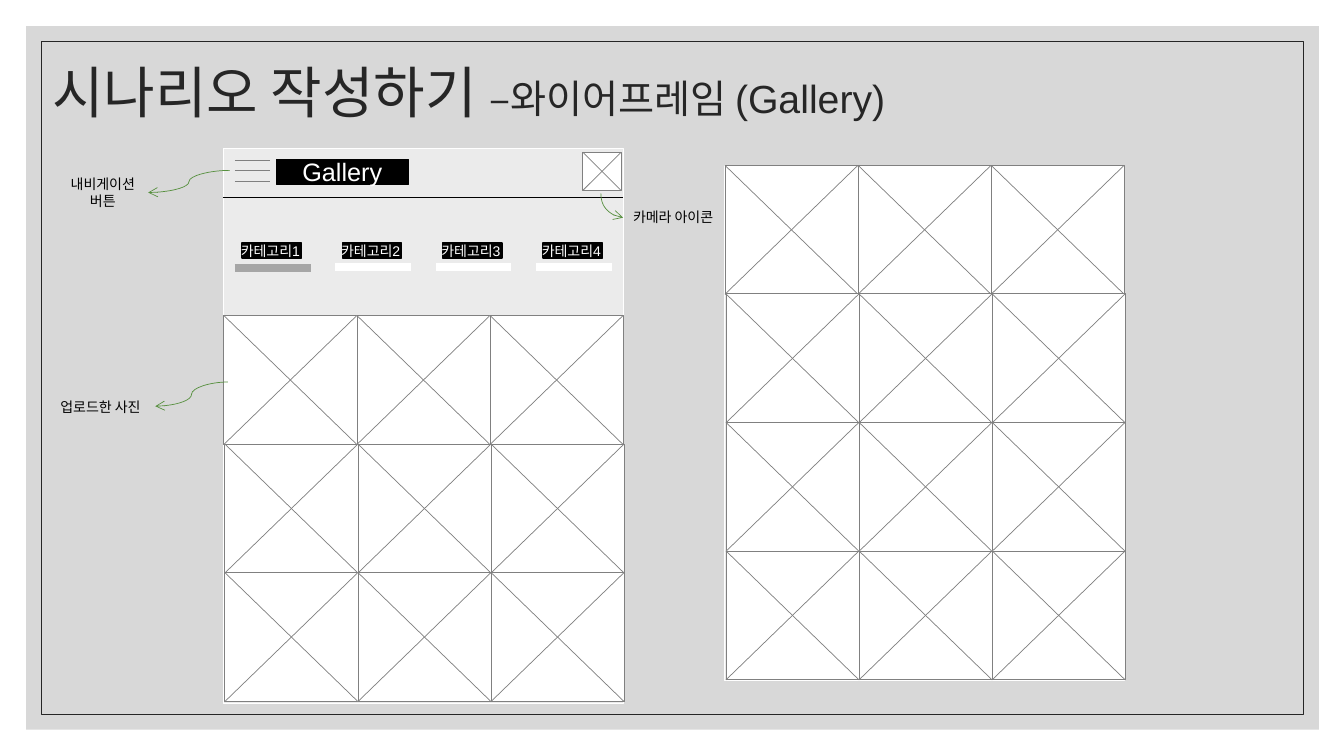
"""Builds the gallery wireframe slide on a grid of tenth-of-an-inch cells."""
import pptx
import pptx.dml.color
import pptx.enum.shapes
import pptx.enum.text
import pptx.oxml
import pptx.oxml.ns
import pptx.util

THEME = {
    "backdrop": "BFBFBF", "ink": "262626", "black": "000000", "white": "FFFFFF",
    "wire": "808080", "active": "A6A6A6", "arrow": "57903F",
    "title": 40, "subtitle": 28, "banner": 18, "label": 10,
    "latin": "Arial", "note": "Quicksand",
    "thin": 0.5, "panel_edge": 0.75, "chip_edge": 1, "bar": 6,
}
CELL = pptx.util.Inches(0.1)
PHOTO_W, PHOTO_H, PHOTO_PITCH = 13.2, 12.8, 12.75
TAB_PITCH = 9.95
STRAIGHT = pptx.enum.shapes.MSO_CONNECTOR.STRAIGHT
CURVE = pptx.enum.shapes.MSO_CONNECTOR.CURVE
CENTER = pptx.enum.text.PP_ALIGN.CENTER
LEFT = pptx.enum.text.PP_ALIGN.LEFT
MIDDLE = pptx.enum.text.MSO_ANCHOR.MIDDLE
rgb = pptx.dml.color.RGBColor.from_string


def add_box(shapes, place, fill=None, edge=None, weight=THEME["thin"], opacity=100):
    box = shapes.add_shape(pptx.enum.shapes.MSO_SHAPE.RECTANGLE,
                           *[int(cells * CELL) for cells in place])
    box.shadow.inherit = False
    if fill:
        box.fill.solid()
        box.fill.fore_color.rgb = rgb(THEME[fill])
        if opacity < 100:
            tint = box._element.spPr.find(".//" + pptx.oxml.ns.qn("a:srgbClr"))
            pptx.oxml.ns.qn("a:alpha")
            tint.append(pptx.oxml.parse_xml(
                f'<a:alpha {pptx.oxml.ns.nsdecls("a")} val="{opacity * 1000}"/>'))
    else:
        box.fill.background()
    if edge:
        box.line.color.rgb = rgb(THEME[edge])
        box.line.width = pptx.util.Pt(weight)
    else:
        box.line.fill.background()
    return box


def add_stroke(shapes, ends, color, weight=THEME["thin"], kind=STRAIGHT, arrow_at=None):
    stroke = shapes.add_connector(kind, *[int(cells * CELL) for cells in ends])
    stroke.line.color.rgb = rgb(THEME[color])
    stroke.line.width = pptx.util.Pt(weight)
    properties = stroke._element.spPr
    if arrow_at:
        properties.find(pptx.oxml.ns.qn("a:ln")).append(pptx.oxml.parse_xml(
            f'<a:{arrow_at} {pptx.oxml.ns.nsdecls("a")} type="arrow"/>'))
    properties.append(pptx.oxml.parse_xml(f'<a:effectLst {pptx.oxml.ns.nsdecls("a")}/>'))
    return stroke


deck = pptx.Presentation()
deck.slide_width = pptx.util.Inches(13.33)
deck.slide_height = pptx.util.Inches(7.5)
slide = deck.slides.add_slide(deck.slide_layouts[6])
shapes = slide.shapes

add_box(shapes, (2.6, 2.6, 128.2, 69.8), "backdrop", opacity=60)
add_box(shapes, (4.1, 4.1, 125.2, 66.8), edge="ink")
add_box(shapes, (22.2, 14.7, 39.6, 55.1), "white", "white", THEME["panel_edge"], 50)
add_box(shapes, (71.9, 16.4, 39.6, 51.1), "white", "white", THEME["panel_edge"], 50)

heading = shapes.add_textbox(*[int(cells * CELL) for cells in (4.2, 4.2, 110, 10.5)]).text_frame
heading.word_wrap = True
heading.vertical_anchor = MIDDLE
heading.paragraphs[0].line_spacing = 0.9
for words, size in (("시나리오 작성하기 ", "title"), ("–와이어프레임 (Gallery)", "subtitle")):
    run = heading.paragraphs[0].add_run()
    run.text = words
    run.font.name = THEME["latin"]
    run.font.size = pptx.util.Pt(THEME[size])
    run.font.color.rgb = rgb(THEME["ink"])

add_stroke(shapes, (22.1, 19.6, 61.8, 19.6), "black")
banner = add_box(shapes, (27.4, 15.8, 13.1, 2.5), "black", "black", THEME["chip_edge"])
banner.text_frame.vertical_anchor = MIDDLE
banner.text_frame.paragraphs[0].alignment = CENTER
run = banner.text_frame.paragraphs[0].add_run()
run.text = "Gallery"
run.font.name = THEME["latin"]
run.font.size = pptx.util.Pt(THEME["banner"])
run.font.color.rgb = rgb(THEME["white"])

camera = [(57.8, 15.1, 3.8, 3.8)]
photo_rows = [
    [(left + (0.1 if row else 0) + column * PHOTO_W, top + row * PHOTO_PITCH, PHOTO_W, PHOTO_H)
     for column in range(3)]
    for left, top, rows in ((22.2, 31.3, 3), (71.9, 16.4, 4))
    for row in range(rows)
]
for placeholders in [camera] + photo_rows:
    group = shapes.add_group_shape().shapes
    for left, top, width, height in placeholders:
        right, bottom = left + width, top + height
        add_box(group, (left, top, width, height), "white", "wire")
        add_stroke(group, (left, bottom, right, top), "wire")
        add_stroke(group, (right, bottom, left, top), "wire")

menu = shapes.add_group_shape().shapes
for bar in range(3):
    height = 15.9 + 1.05 * bar
    add_stroke(menu, (23.3, height, 26.8, height), "wire")

labels = [
    ((61.8, 20.2, 10.8, 2.7), "black", LEFT, [[("카메라 아이콘", "note")]]),
    ((5, 39, 10.8, 2.7), "black", LEFT, [[("업로드한 사진", "note")]]),
    ((5.7, 16.9, 9, 4.4), "black", CENTER, [[("내비게이션", "note")], [("버튼", "note")]]),
]
for tab in range(4):
    shift = tab * TAB_PITCH
    level = 26.5 if tab else 26.6
    add_stroke(shapes, (23.3 + shift, level, 30.8 + shift, level),
               "white" if tab else "active", THEME["bar"])
    add_box(shapes, (24 + shift, 24.1, 5.9, 1.5), "black", "black", THEME["chip_edge"])
    caption = [("카테고리", "latin" if tab else "note"), (str(tab + 1), "latin")]
    labels.append(((22.9 + shift, 23.6, 8.4, 2.7), "white", LEFT, [caption]))

for place, color, alignment, lines in labels:
    frame = shapes.add_textbox(*[int(cells * CELL) for cells in place]).text_frame
    frame.word_wrap = False
    frame.auto_size = pptx.enum.text.MSO_AUTO_SIZE.SHAPE_TO_FIT_TEXT
    for index, line in enumerate(lines):
        paragraph = frame.add_paragraph() if index else frame.paragraphs[0]
        paragraph.alignment = alignment
        for words, face in line:
            run = paragraph.add_run()
            run.text = words
            run.font.name = THEME[face]
            run.font.size = pptx.util.Pt(THEME["label"])
            run.font.color.rgb = rgb(THEME[color])

for ends in ((22.8, 16.9, 14.7, 19.1), (22.6, 37.9, 15.4, 40.3)):
    add_stroke(shapes, ends, "arrow", kind=CURVE, arrow_at="tailEnd")
camera_arrow = add_stroke(shapes, (61.8, 21.6, 59.6, 19.2), "arrow", kind=CURVE, arrow_at="headEnd")
camera_arrow._element.spPr.find(pptx.oxml.ns.qn("a:prstGeom")).set("prst", "curvedConnector2")

deck.save("out.pptx")
